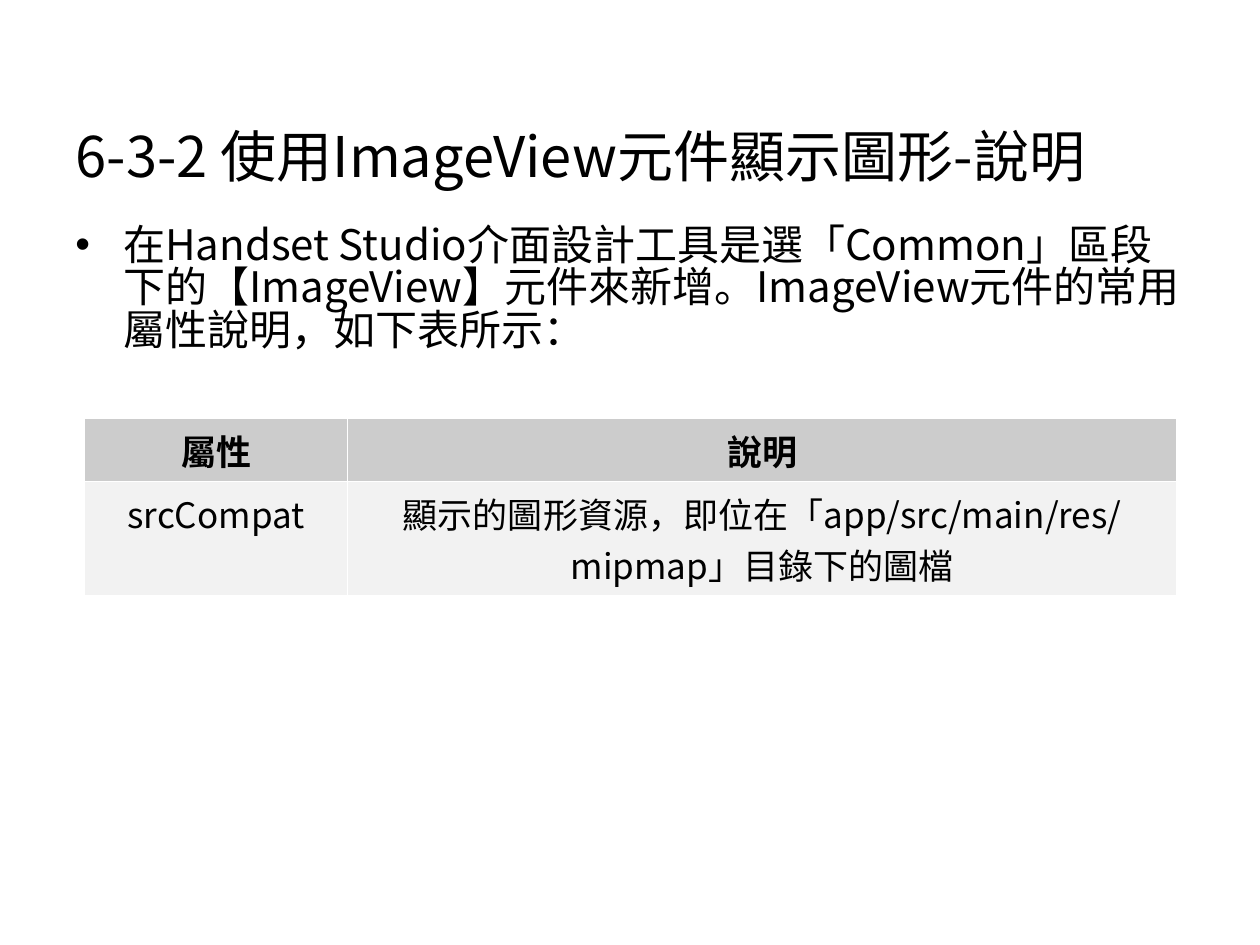
from dataclasses import dataclass

from lxml.etree import SubElement
from pptx import Presentation
from pptx.dml.color import RGBColor
from pptx.enum.text import MSO_ANCHOR, MSO_AUTO_SIZE, PP_ALIGN
from pptx.oxml.ns import qn
from pptx.table import _Cell
from pptx.text.text import TextFrame, _Paragraph
from pptx.util import Inches, Pt


@dataclass(frozen=True)
class Theme:
    font: str = "Noto Sans CJK SC"
    ink: str = "000000"
    header_fill: str = "CCCCCC"
    row_fill: str = "F2F2F2"
    border: str = "FFFFFF"
    border_width: float = 0.96
    title_size: int = 32
    body_size: int = 24
    table_size: int = 20


@dataclass(frozen=True)
class TableRow:
    texts: tuple[str, ...]
    height: float
    fill: str
    bold: bool


THEME = Theme()
COLUMN_WIDTHS = (2.09, 6.58)
ROWS = (
    TableRow(("屬性", "說明"), 0.5, THEME.header_fill, True),
    TableRow(
        ("srcCompat", "顯示的圖形資源，即位在「app/src/main/res/mipmap」目錄下的圖檔"),
        0.91,
        THEME.row_fill,
        False,
    ),
)


def write_text(
    frame: TextFrame,
    text: str,
    *,
    size: int,
    bold: bool = False,
    align: PP_ALIGN = PP_ALIGN.LEFT,
    line_spacing: float = 1.0,
) -> _Paragraph:
    frame.word_wrap = True
    para = frame.paragraphs[0]
    para.alignment = align
    para.line_spacing = line_spacing
    span = para.add_run()
    span.text = text
    span.font.size = Pt(size)
    span.font.bold = bold
    span.font.name = THEME.font
    span.font.color.rgb = RGBColor.from_string(THEME.ink)
    east_asian = SubElement(span.font._element, qn("a:ea"))
    east_asian.set("typeface", THEME.font)
    return para


def add_bullet(para: _Paragraph, indent: float) -> None:
    properties = para._p.get_or_add_pPr()
    properties.set("marL", str(Inches(indent)))
    properties.set("indent", str(-Inches(indent)))
    SubElement(properties, qn("a:buFont")).set("typeface", "Arial")
    SubElement(properties, qn("a:buChar")).set("char", "•")


def draw_border(cell: _Cell, side: str) -> None:
    properties = cell._tc.get_or_add_tcPr()
    line = SubElement(properties, qn(f"a:{side}"), w=str(Pt(THEME.border_width)))
    fill = SubElement(line, qn("a:solidFill"))
    SubElement(fill, qn("a:srgbClr")).set("val", THEME.border)


def fill_cell(cell: _Cell, text: str, row: TableRow) -> None:
    write_text(
        cell.text_frame,
        text,
        size=THEME.table_size,
        bold=row.bold,
        align=PP_ALIGN.CENTER,
    )
    for side in ("lnL", "lnR", "lnT", "lnB"):
        draw_border(cell, side)
    cell.fill.solid()
    cell.fill.fore_color.rgb = RGBColor.from_string(row.fill)


def main() -> None:
    deck = Presentation()
    deck.slide_width, deck.slide_height = Inches(10), Inches(7.5)
    page = deck.slides.add_slide(deck.slide_layouts[5])

    title = page.shapes.title
    title.left, title.top = Inches(0.5), Inches(0.3)
    title.width, title.height = Inches(9), Inches(1.25)
    title.text_frame.vertical_anchor = MSO_ANCHOR.BOTTOM
    title.text_frame.auto_size = MSO_AUTO_SIZE.NONE
    write_text(
        title.text_frame,
        "6-3-2 使用ImageView元件顯示圖形-說明",
        size=THEME.title_size,
    )

    body = page.shapes.add_textbox(Inches(0.5), Inches(1.75), Inches(9), Inches(5.39))
    body_para = write_text(
        body.text_frame,
        "在Handset Studio介面設計工具是選「Common」區段下的【ImageView】元件來新增。"
        "ImageView元件的常用屬性說明，如下表所示：",
        size=THEME.body_size,
        line_spacing=0.84,
    )
    body_para.space_before = Pt(6)
    add_bullet(body_para, 0.38)

    table = page.shapes.add_table(
        len(ROWS),
        len(COLUMN_WIDTHS),
        Inches(0.67),
        Inches(3.32),
        Inches(sum(COLUMN_WIDTHS)),
        Inches(sum(row.height for row in ROWS)),
    ).table
    for column, width in zip(table.columns, COLUMN_WIDTHS):
        column.width = Inches(width)
    for table_row, row in zip(table.rows, ROWS):
        table_row.height = Inches(row.height)
        for cell, text in zip(table_row.cells, row.texts):
            fill_cell(cell, text, row)

    deck.save("out.pptx")


if __name__ == "__main__":
    main()
